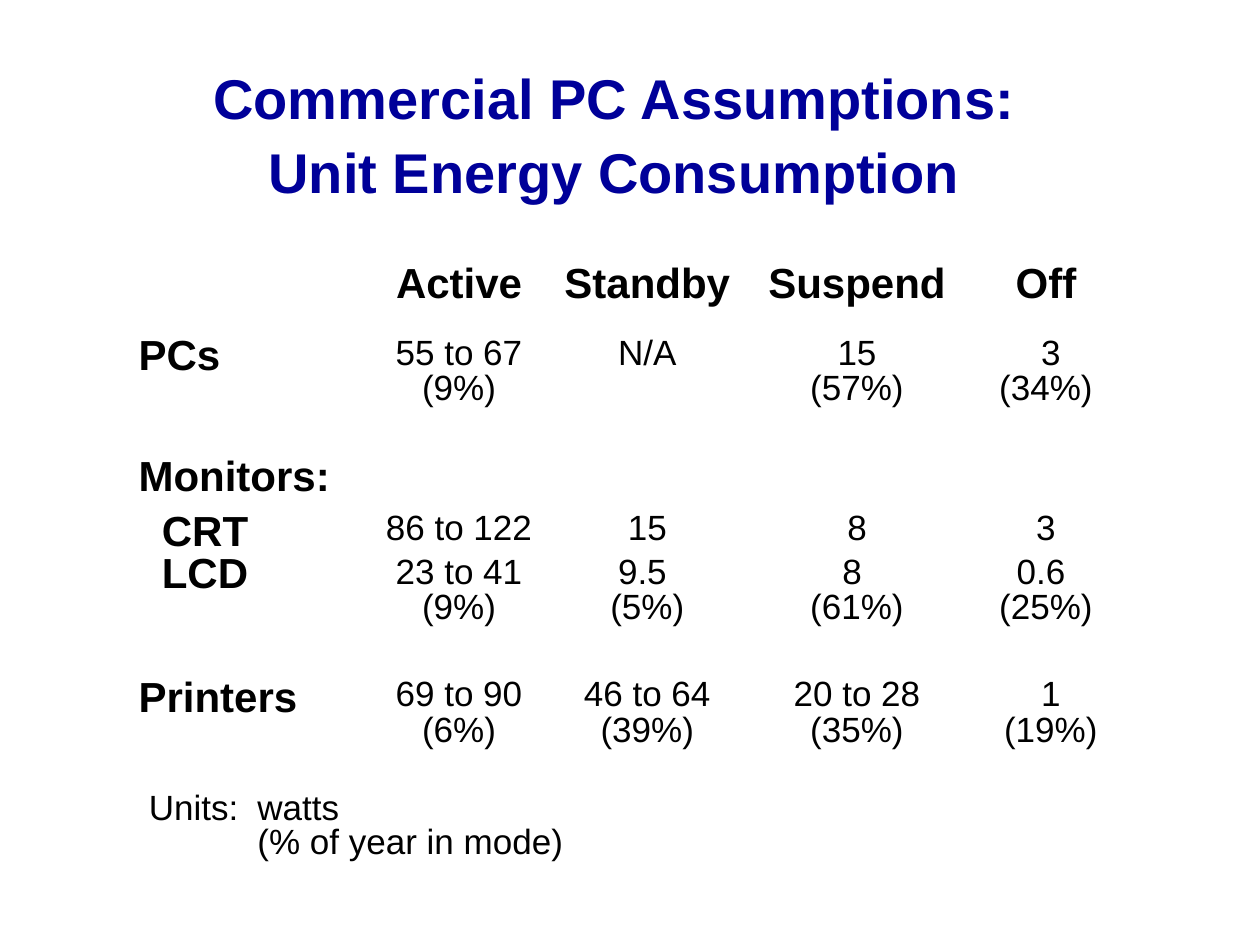
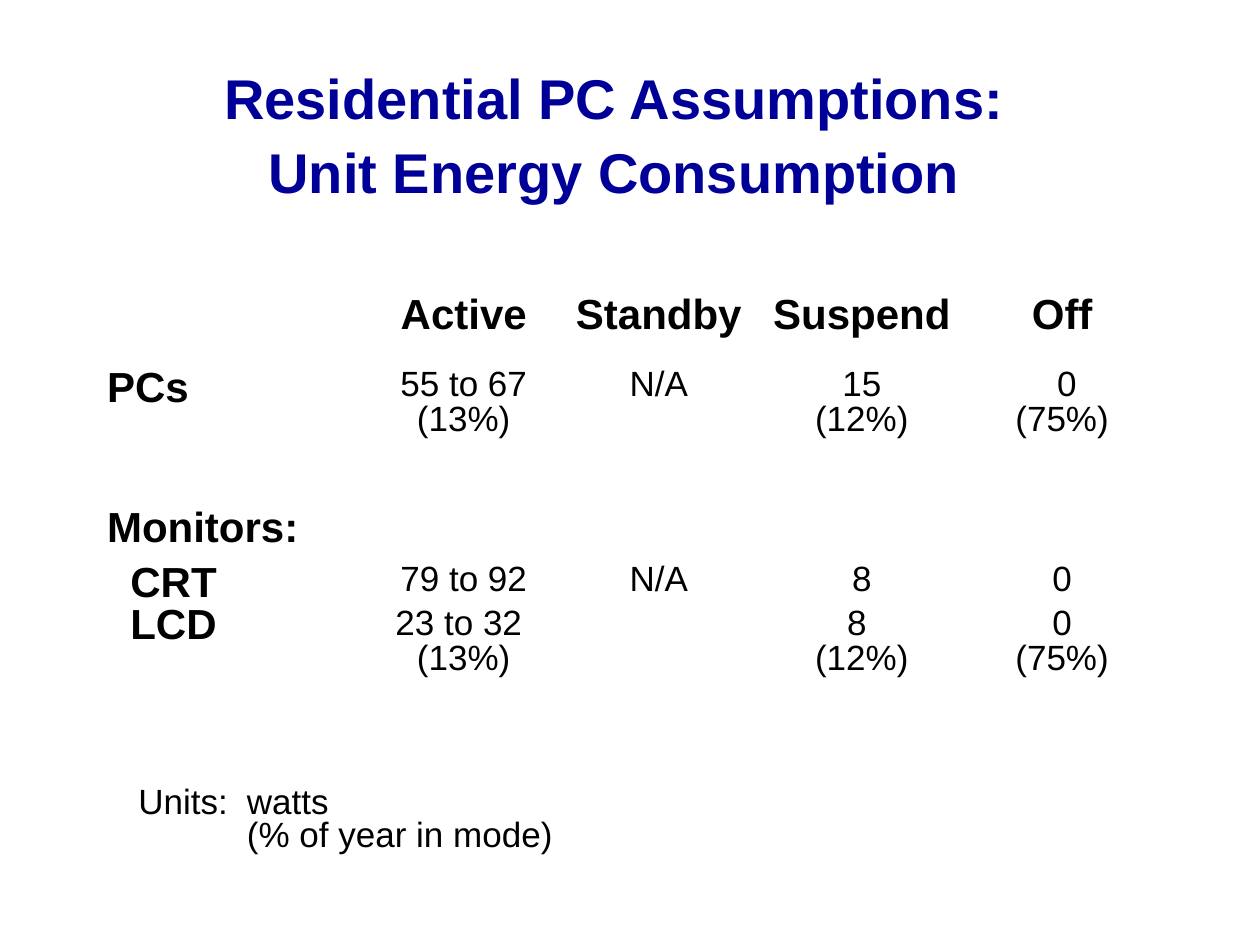
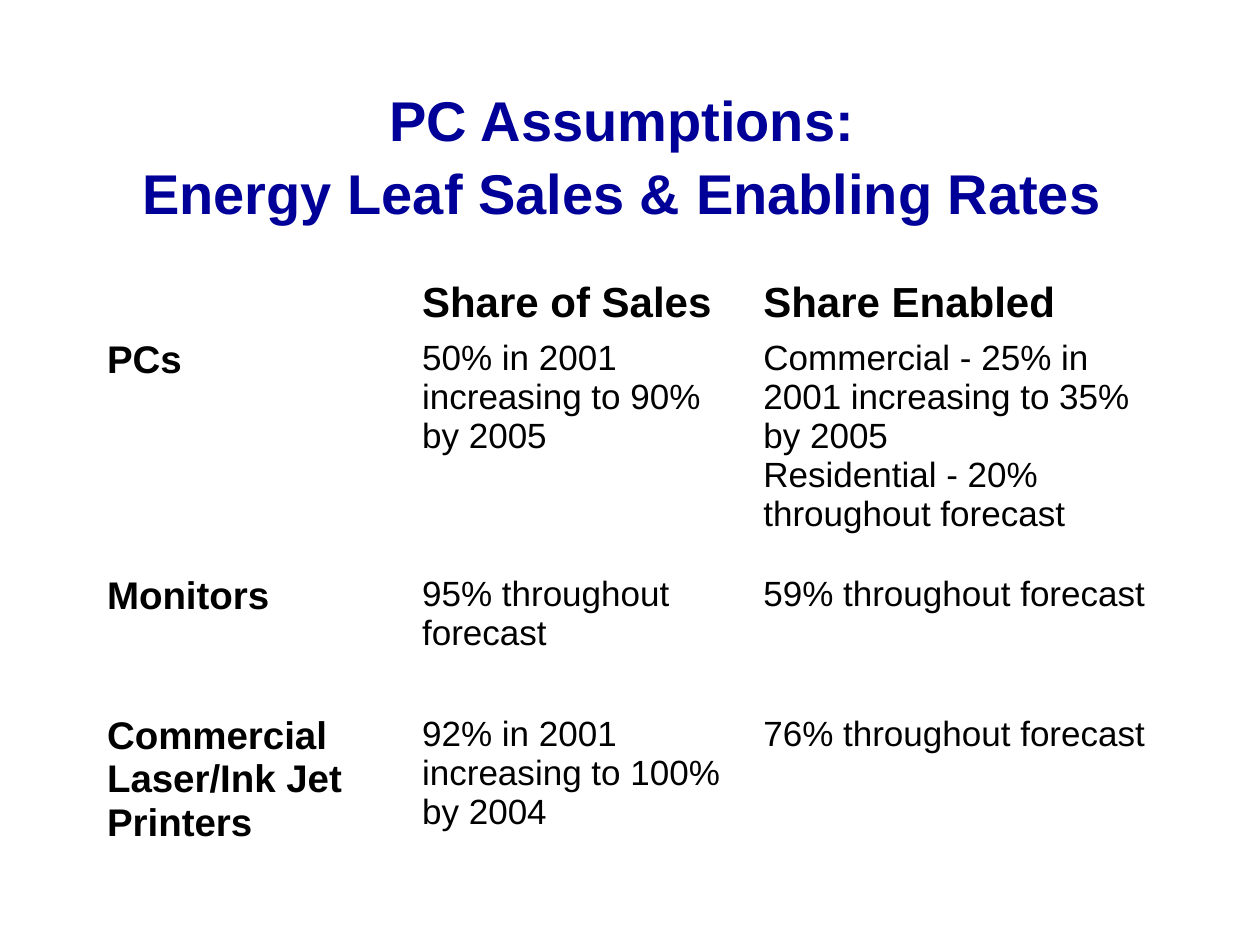
from dataclasses import dataclass

from pptx import Presentation
from pptx.dml.color import RGBColor
from pptx.enum.text import MSO_ANCHOR, MSO_AUTO_SIZE, PP_ALIGN
from pptx.oxml.ns import qn
from pptx.util import Pt
from lxml.etree import SubElement


@dataclass(frozen=True)
class Theme:
    font: str = "Arial"
    navy: RGBColor = RGBColor(0x00, 0x00, 0x99)
    black: RGBColor = RGBColor(0x00, 0x00, 0x00)
    title: int = 32
    head: int = 24
    label: int = 22
    body: int = 20


class Deck:
    def __init__(self, theme):
        self.theme = theme
        self.prs = Presentation()
        self.prs.slide_width, self.prs.slide_height = Pt(720), Pt(540)
        self.slide = None

    def runs(self, par, text, size, bold=False, color=None):
        """Add text run by run; a vertical tab is a line break."""
        for i, line in enumerate(text.split("\v")):
            if i:
                par.add_line_break()
            run = par.add_run()
            run.text = line
            font = run.font
            font.name, font.size, font.bold = self.theme.font, Pt(size), bold
            font.color.rgb = color or self.theme.black

    def page(self, lines, box, slack):
        """Start a slide; slack is the right margin of the first title line."""
        self.slide = self.prs.slides.add_slide(self.prs.slide_layouts[5])
        title = self.slide.shapes.title
        title.left, title.top, title.width, title.height = map(Pt, box)
        frame = title.text_frame
        frame.auto_size = MSO_AUTO_SIZE.NONE
        frame.vertical_anchor = MSO_ANCHOR.MIDDLE
        for i, line in enumerate(lines):
            par = frame.add_paragraph() if i else frame.paragraphs[0]
            if not i:
                par._p.get_or_add_pPr().set("marR", str(Pt(slack)))
            par.alignment = PP_ALIGN.CENTER
            par.line_spacing = 1.09
            par.space_before = Pt(0)
            self.runs(par, line, self.theme.title, True, self.theme.navy)

    def cell(self, cell, text, size, bold, align, space, anchor, indent=0):
        cell.fill.background()
        cell.vertical_anchor = anchor
        if not text:
            return
        for i, line in enumerate(text.split("\n")):
            frame = cell.text_frame
            par = frame.add_paragraph() if i else frame.paragraphs[0]
            if indent:
                par._p.get_or_add_pPr().set("marL", str(Pt(indent)))
            par.alignment = align
            par.line_spacing = space
            par.space_before = Pt(5 if i else 0)
            self.runs(par, line, size, bold)

    def grid(self, spot, cols, rows, data, label, align=PP_ALIGN.CENTER,
             space=0.9, anchor=MSO_ANCHOR.MIDDLE, sub=None):
        """Table with a head row and bold labels; sub is an indented row."""
        table = self.slide.shapes.add_table(
            len(rows), len(cols), *map(Pt, (*spot, sum(cols), sum(rows)))).table
        table.first_row = table.horz_banding = False
        for col, width in zip(table.columns, cols):
            col.width = Pt(width)
        for r, (row, high) in enumerate(zip(data, rows)):
            table.rows[r].height = Pt(high)
            for c, text in enumerate(row):
                cell = table.cell(r, c)
                if r == 0:
                    self.cell(cell, text, self.theme.head, True, align, 1.0, anchor)
                elif c == 0:
                    self.cell(cell, text, label, True, PP_ALIGN.LEFT, space,
                              MSO_ANCHOR.TOP, 13.3 if r == sub else 0)
                else:
                    self.cell(cell, text, self.theme.body, False, align, space,
                              MSO_ANCHOR.TOP)

    def units(self, left, top):
        """Note on units, aligned at one tab stop."""
        box = self.slide.shapes.add_textbox(*map(Pt, (left, top, 258, 46)))
        box.text_frame.word_wrap = True
        par = box.text_frame.paragraphs[0]
        par.line_spacing = 0.8
        tabs = SubElement(par._p.get_or_add_pPr(), qn("a:tabLst"))
        SubElement(tabs, qn("a:tab"), pos=str(Pt(62)), algn="l")
        self.runs(par, "Units:\twatts\v\t(% of year in mode)", self.theme.body)


MODES = ["", "Active", "Standby", "Suspend", "Off"]
MONITORS = ["Monitors:", "", "", "", ""]
TOP_BOX = (54, 30, 612, 90)


def main():
    theme = Theme()
    deck = Deck(theme)

    # Commercial energy use
    deck.page(["Commercial PC Assumptions:", "Unit Energy Consumption"], TOP_BOX, 18)
    deck.grid((72, 135), (141, 98.6, 116.6, 123.1, 92.9), (54, 69, 31, 95, 80), [
        MODES,
        ["PCs", "55 to 67\v(9%)", "N/A", "15\v(57%)", " 3\v(34%)"],
        MONITORS,
        ["CRT\vLCD", "86 to 122\n23 to 41\v(9%)", "15\n9.5 \v(5%)",
         "8\n8 \v(61%)", "3\n0.6 \v(25%)"],
        ["Printers", "69 to 90 (6%)", "46 to 64 (39%)", "20 to 28 (35%)",
         " 1\v (19%)"],
    ], theme.head, sub=3)
    deck.units(78, 450)

    # Residential energy use
    deck.page(["Residential PC Assumptions:", "Unit Energy Consumption"], TOP_BOX, 18)
    deck.grid((54, 153), (156, 110, 113, 119, 110), (54, 80, 30, 80), [
        MODES,
        ["PCs", "55 to 67\v(13%)", "N/A", "15\v(12%)", " 0\v(75%)"],
        MONITORS,
        ["CRT\vLCD", "79 to 92\n23 to 32 \v(13%)", "N/A", "8\n8 \v(12%)",
         "0\n0\v(75%)"],
    ], theme.head, sub=3)
    deck.units(72, 446.4)

    # Sales and enabling rates
    deck.page(["PC Assumptions:", "Energy Leaf Sales & Enabling Rates"],
              (30, 42, 660, 90), 9)
    deck.grid((54, 132), (180, 195, 237), (58, 135, 80, 94), [
        ["", "Share of Sales", "Share Enabled"],
        ["PCs", "50% in 2001 increasing to 90% by 2005",
         "Commercial - 25% in 2001 increasing to 35% by 2005\v"
         "Residential - 20% throughout forecast"],
        ["Monitors", "95% throughout forecast", "59% throughout forecast"],
        ["Commercial\vLaser/Ink Jet Printers",
         "92% in 2001 increasing to 100% by 2004", "76% throughout forecast"],
    ], theme.label, PP_ALIGN.LEFT, 1.0, MSO_ANCHOR.BOTTOM)

    deck.prs.save("out.pptx")


if __name__ == "__main__":
    main()
